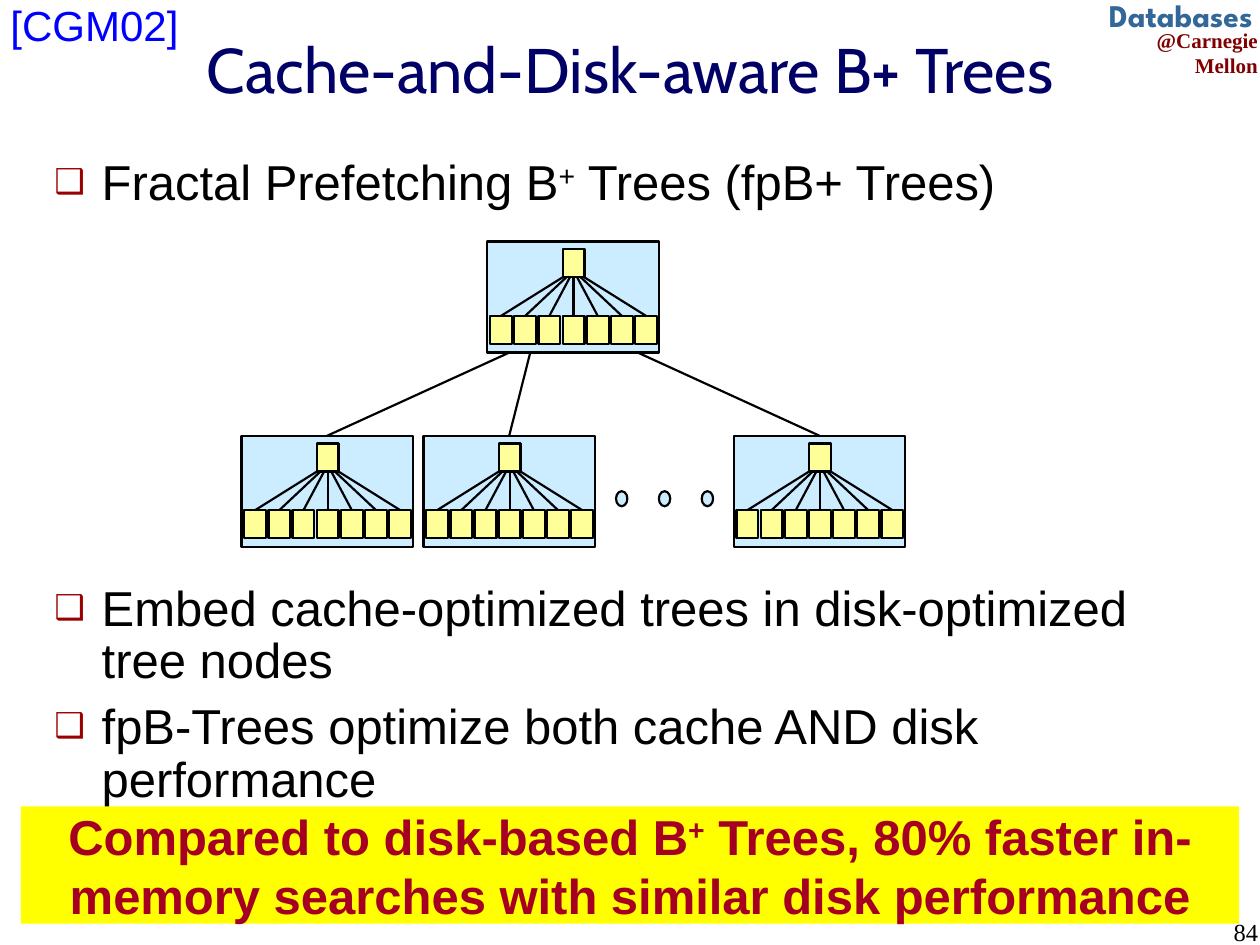
from lxml.etree import SubElement
from pptx import Presentation
from pptx.dml.color import RGBColor
from pptx.enum.shapes import MSO_CONNECTOR as Line, MSO_SHAPE as Shape
from pptx.enum.text import MSO_ANCHOR as Anchor, PP_ALIGN as Align
from pptx.oxml.ns import qn
from pptx.util import Pt

COLORS = {
    "ink": "000000", "title": "000066", "page": "CCECFF", "node": "FFFF99",
    "bullet": "990000", "band": "FFFF00", "claim": "A50021",
    "citation": "0000FF", "group": "336699", "university": "800000",
}
LINE_WIDTH = 1.25
PAGE_WIDTH, PAGE_HEIGHT = 98, 63.5
NODE_WIDTH, NODE_HEIGHT = 12.5, 16
FANOUT, LEAF_PITCH = 7, 13.8
LEAF_LEFT, LEAF_TOP = 1.6, 42.5
ROOT_LEFT, ROOT_TOP = LEAF_LEFT + 3 * LEAF_PITCH, 4.5


def rgb(name):
    return RGBColor.from_string(COLORS[name])


def add_filled(slide, kind, box, fill, outlined=True):
    shape = slide.shapes.add_shape(kind, *map(Pt, box))
    shape.shadow.inherit = False
    shape.fill.solid()
    shape.fill.fore_color.rgb = rgb(fill)
    if outlined:
        shape.line.color.rgb = rgb("ink")
        shape.line.width = Pt(LINE_WIDTH)
    else:
        shape.line.fill.background()
    return shape


def add_link(slide, start, end):
    link = slide.shapes.add_connector(Line.STRAIGHT, *map(Pt, start + end))
    link.line.color.rgb = rgb("ink")
    link.line.width = Pt(LINE_WIDTH)
    SubElement(link._element.spPr, qn("a:effectLst"))


def write_runs(paragraph, pieces, size, color, font="Arial", bold=False):
    """Write the pieces as runs; a lone "+" is raised."""
    for piece in pieces:
        run = paragraph.add_run()
        run.text = piece
        run.font.name = font
        run.font.size = Pt(size)
        run.font.bold = bold
        run.font.color.rgb = rgb(color)
        if piece == "+":
            run.font._element.set("baseline", "30000")


def add_label(slide, box, text, size, color, font, align=Align.LEFT,
              bold=False, wrap=False, anchor=Anchor.TOP, inset=True):
    frame = slide.shapes.add_textbox(*map(Pt, box)).text_frame
    frame.word_wrap = wrap
    frame.vertical_anchor = anchor
    if not inset:
        clear_margins(frame)
    frame.paragraphs[0].alignment = align
    write_runs(frame.paragraphs[0], [text], size, color, font, bold)


def clear_margins(frame):
    frame.margin_left = frame.margin_right = 0
    frame.margin_top = frame.margin_bottom = 0


def set_bullet(paragraph):
    props = paragraph._p.get_or_add_pPr()
    props.set("marL", str(Pt(27)))
    props.set("indent", str(Pt(-27)))
    color = SubElement(props, qn("a:buClr"))
    SubElement(color, qn("a:srgbClr"), val=COLORS["bullet"])
    SubElement(props, qn("a:buSzPct"), val="70000")
    SubElement(props, qn("a:buFont"), typeface="Arial")
    SubElement(props, qn("a:buChar"), char="❑")


def add_bullets(slide, box, items):
    frame = slide.shapes.add_textbox(*map(Pt, box)).text_frame
    frame.word_wrap = True
    for index, pieces in enumerate(items):
        point = frame.add_paragraph() if index else frame.paragraphs[0]
        point.line_spacing = 0.9
        if index:
            point.space_before = Pt(7)
        set_bullet(point)
        write_runs(point, pieces, 28, "ink")


def add_disk_page(slide, left, top):
    """Draw a disk page that holds a small tree of cache nodes."""
    add_filled(slide, Shape.RECTANGLE, (left, top, PAGE_WIDTH, PAGE_HEIGHT), "page")
    root_left, root_top = left + ROOT_LEFT, top + ROOT_TOP
    leaf_top = top + LEAF_TOP
    add_filled(slide, Shape.RECTANGLE,
               (root_left, root_top, NODE_WIDTH, NODE_HEIGHT), "node")
    for index in range(FANOUT):
        leaf_left = left + LEAF_LEFT + index * LEAF_PITCH
        add_filled(slide, Shape.RECTANGLE,
                   (leaf_left, leaf_top, NODE_WIDTH, NODE_HEIGHT), "node")
        add_link(slide, (leaf_left + NODE_WIDTH / 2, leaf_top),
                 (root_left + NODE_WIDTH * index / (FANOUT - 1),
                  root_top + NODE_HEIGHT))


def add_page_tree(slide, left, top):
    parent_left, child_top = left + 140.5, top + 111
    add_disk_page(slide, parent_left, top)
    for child_left, exit_x in ((0, 12.5), (104, 24.5), (281.3, 86)):
        add_link(slide, (parent_left + exit_x, top + PAGE_HEIGHT),
                 (left + child_left + PAGE_WIDTH / 2, child_top))
        add_disk_page(slide, left + child_left, child_top)
    for index in range(3):
        add_filled(slide, Shape.OVAL,
                   (left + 214 + index * 24.5, top + 142.7, 6.5, 8.6), "page")


def add_header(slide):
    add_label(slide, (615, 12.2, 110.9, 21.6), "@Carnegie Mellon", 12,
              "university", "Times New Roman", Align.RIGHT, bold=True)
    add_label(slide, (615, -5.8, 108, 28.8), "Databases", 18,
              "group", "League Spartan", Align.RIGHT, bold=True)
    add_label(slide, (6, 12.2, 708, 54), "Cache-and-Disk-aware B+ Trees", 36,
              "title", "Cabin", Align.CENTER, wrap=True, anchor=Anchor.MIDDLE)
    add_label(slide, (6, 0, 96, 28.8), "[CGM02]", 24, "citation", "Arial",
              inset=False)


def add_claim(slide, box):
    band = add_filled(slide, Shape.RECTANGLE, box, "band", outlined=False)
    frame = band.text_frame
    frame.word_wrap = True
    frame.vertical_anchor = Anchor.TOP
    clear_margins(frame)
    claim = frame.paragraphs[0]
    claim.alignment = Align.CENTER
    write_runs(claim, ["Compared to disk-based B", "+",
                       " Trees, 80% faster in-memory searches with similar "
                       "disk performance"], 28, "claim", bold=True)


def main():
    deck = Presentation()
    deck.slide_width, deck.slide_height = Pt(720), Pt(540)
    slide = deck.slides.add_slide(deck.slide_layouts[6])
    add_header(slide)
    add_bullets(slide, (24, 87, 660, 40),
                [["Fractal Prefetching B", "+", " Trees (fpB+ Trees)"]])
    add_bullets(slide, (24, 330, 660, 144),
                [["Embed cache-optimized trees in disk-optimized tree nodes"],
                 ["fpB-Trees optimize both cache AND disk performance"]])
    add_page_tree(slide, 138, 138)
    add_claim(slide, (12, 460.8, 696, 67))
    add_label(slide, (558, 520.6, 168, 37.4), "84", 14, "ink",
              "Times New Roman", Align.RIGHT, wrap=True)
    deck.save("out.pptx")


if __name__ == "__main__":
    main()
